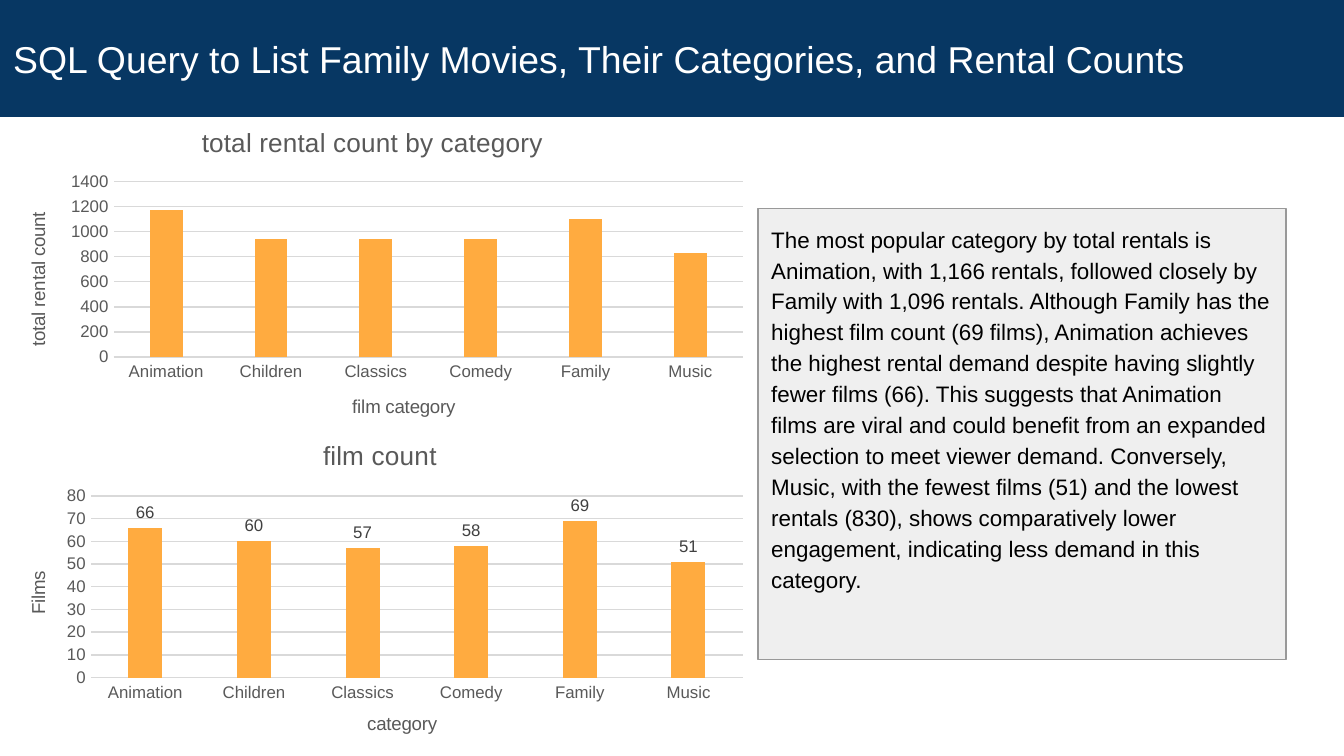
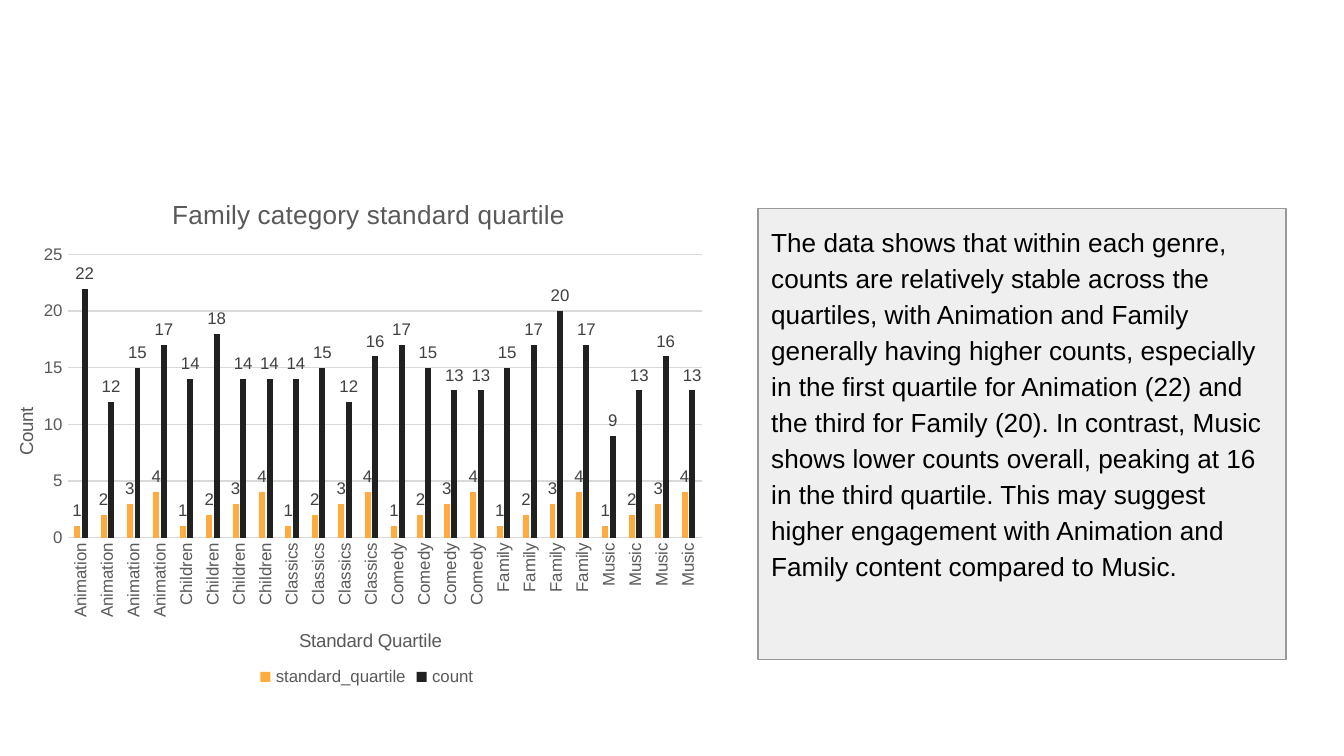
from dataclasses import dataclass

from lxml.etree import SubElement
from pptx import Presentation
from pptx.chart.data import CategoryChartData
from pptx.dml.color import RGBColor
from pptx.enum.chart import XL_CHART_TYPE, XL_LABEL_POSITION, XL_LEGEND_POSITION, XL_TICK_MARK
from pptx.enum.shapes import MSO_SHAPE
from pptx.enum.text import MSO_ANCHOR, PP_ALIGN
from pptx.oxml.ns import qn
from pptx.util import Inches, Pt

FONT = "Arial"
NAVY = RGBColor(0x07, 0x37, 0x63)
WHITE = RGBColor(0xFF, 0xFF, 0xFF)
BLACK = RGBColor(0, 0, 0)
PANEL = RGBColor(0xEF, 0xEF, 0xEF)
PANEL_LINE = RGBColor(0x99, 0x99, 0x99)
GRID = RGBColor(0xD9, 0xD9, 0xD9)
GREY = RGBColor(0x59, 0x59, 0x59)
LABEL = RGBColor(0x40, 0x40, 0x40)
ORANGE = RGBColor(0xFF, 0xAB, 0x40)
CHARCOAL = RGBColor(0x21, 0x21, 0x21)

GENRES = ["Animation", "Children", "Classics", "Comedy", "Family", "Music"]


@dataclass
class Caption:
    text: str
    x: float
    y: float


@dataclass
class Series:
    name: str
    values: list[int]
    color: RGBColor = ORANGE


@dataclass
class ColumnChart:
    box: tuple[float, float, float, float]
    plot: tuple[float, float, float, float]
    title: Caption
    x_title: Caption
    y_title: Caption
    categories: list[str]
    series: list[Series]
    top: int
    step: int
    labels: bool = True
    legend: bool = False
    upright_names: bool = False


RENTALS = ColumnChart(
    (0, 0.8, 5.64, 2.51), (0.15, 0.22, 0.83, 0.52),
    Caption("total rental count by category", 0.26, 0.04),
    Caption("film category", 0.46, 0.84),
    Caption("total rental count", 0.03, 0.3),
    GENRES, [Series("Series 1", [1170, 940, 940, 940, 1100, 830])],
    1400, 200, labels=False)

FILMS = ColumnChart(
    (0, 3.13, 5.64, 2.55), (0.12, 0.22, 0.86, 0.53),
    Caption("film count", 0.42, 0.04),
    Caption("category", 0.48, 0.84),
    Caption("Films", 0.03, 0.43),
    GENRES, [Series("film count", [66, 60, 57, 58, 69, 51])],
    80, 10)

QUARTILES = ColumnChart(
    (0.08, 1.32, 5.3, 3.83), (0.08, 0.15, 0.89, 0.55),
    Caption("Family category standard quartile", 0.22, 0.03),
    Caption("Standard Quartile", 0.4, 0.87),
    Caption("Count", 0, 0.44),
    [genre for genre in GENRES for _ in range(4)],
    [Series("standard_quartile", [1, 2, 3, 4] * len(GENRES)),
     Series("count", [22, 12, 15, 17, 14, 18, 14, 14, 14, 15, 12, 16,
                      17, 15, 13, 13, 15, 17, 20, 17, 9, 13, 16, 13], CHARCOAL)],
    25, 5, legend=True, upright_names=True)

HEADLINE = "SQL Query to List Family Movies, Their Categories, and Rental Counts"
RENTAL_NOTE = (
    "The most popular category by total rentals is Animation, with 1,166 rentals, "
    "followed closely by Family with 1,096 rentals. Although Family has the highest "
    "film count (69 films), Animation achieves the highest rental demand despite "
    "having slightly fewer films (66). This suggests that Animation films are viral "
    "and could benefit from an expanded selection to meet viewer demand. Conversely, "
    "Music, with the fewest films (51) and the lowest rentals (830), shows "
    "comparatively lower engagement, indicating less demand in this category.")
QUARTILE_NOTE = (
    "The data shows that within each genre, counts are relatively stable across the "
    "quartiles, with Animation and Family generally having higher counts, especially "
    "in the first quartile for Animation (22) and the third for Family (20). In "
    "contrast, Music shows lower counts overall, peaking at 16 in the third quartile. "
    "This may suggest higher engagement with Animation and Family content compared "
    "to Music.")


def style_font(font, size: float, color: RGBColor) -> None:
    font.name = FONT
    font.size = Pt(size)
    font.bold = False
    font.color.rgb = color


def add_box(s, box: tuple, fill: RGBColor, text: str, size: float, color: RGBColor):
    sp = s.shapes.add_shape(MSO_SHAPE.RECTANGLE, *map(Inches, box))
    sp.shadow.inherit = False
    sp.fill.solid()
    sp.fill.fore_color.rgb = fill
    sp.line.fill.background()
    tf = sp.text_frame
    tf.word_wrap = True
    tf.margin_left = tf.margin_right = tf.margin_top = tf.margin_bottom = Inches(0.1)
    p = tf.paragraphs[0]
    p.text = text
    p.alignment = PP_ALIGN.LEFT
    style_font(p.runs[0].font, size, color)
    return sp


def add_title(s, text: str) -> None:
    sp = add_box(s, (0, 0, 10, 0.87), NAVY, text, 20, WHITE)
    sp.text_frame.vertical_anchor = MSO_ANCHOR.MIDDLE


def add_note(s, text: str, size: float) -> None:
    sp = add_box(s, (5.64, 1.55, 3.93, 3.36), PANEL, text, size, BLACK)
    sp.line.color.rgb = PANEL_LINE
    sp.line.width = Pt(0.75)
    sp.text_frame.vertical_anchor = MSO_ANCHOR.TOP
    p = sp.text_frame.paragraphs[0]
    p.line_spacing = 1.15
    p.space_after = Pt(16)


def set_layout(parent, index: int, **values) -> None:
    layout = parent.find(qn("c:layout"))
    if layout is not None:
        parent.remove(layout)
    layout = parent.makeelement(qn("c:layout"))
    parent.insert(index, layout)
    manual = SubElement(layout, qn("c:manualLayout"))
    for name, value in values.items():
        SubElement(manual, qn(f"c:{name}")).set("val", str(value))


def set_caption(owner, caption: Caption, size: float, rotation: int = 0) -> None:
    owner.has_title = True
    title = owner.chart_title if hasattr(owner, "chart_title") else owner.axis_title
    tf = title.text_frame
    tf.text = caption.text
    style_font(tf.paragraphs[0].runs[0].font, size, GREY)
    tf._txBody.bodyPr.set("rot", str(rotation))
    set_layout(title._element, 1, xMode="edge", yMode="edge", x=caption.x, y=caption.y)


def style_axis(axis, caption: Caption, rotation: int = 0) -> None:
    axis.major_tick_mark = axis.minor_tick_mark = XL_TICK_MARK.NONE
    style_font(axis.tick_labels.font, 9, GREY)
    set_caption(axis, caption, 10, rotation)


def add_column_chart(s, spec: ColumnChart) -> None:
    data = CategoryChartData()
    data.categories = spec.categories
    for series in spec.series:
        data.add_series(series.name, series.values)
    chart = s.shapes.add_chart(
        XL_CHART_TYPE.COLUMN_CLUSTERED, *map(Inches, spec.box), data).chart
    style_font(chart.font, 10, BLACK)
    set_caption(chart, spec.title, 14)

    names, scale = chart.category_axis, chart.value_axis
    style_axis(names, spec.x_title)
    names.format.line.color.rgb = GRID
    names.format.line.width = Pt(0.75)
    if spec.upright_names:
        names._element.find(qn("c:txPr")).find(qn("a:bodyPr")).set("rot", "-5400000")
    style_axis(scale, spec.y_title, -5400000)
    scale.minimum_scale, scale.maximum_scale = 0, spec.top
    scale.major_unit = spec.step
    scale.format.line.fill.background()
    scale.major_gridlines.format.line.color.rgb = GRID
    scale.major_gridlines.format.line.width = Pt(0.75)

    plot = chart.plots[0]
    plot.vary_by_categories = False
    plot.gap_width, plot.overlap = 219, -27
    for series, bars in zip(spec.series, plot.series):
        bars.format.fill.solid()
        bars.format.fill.fore_color.rgb = series.color
        if spec.labels:
            labels = bars.data_labels
            labels.show_value = True
            labels.position = XL_LABEL_POSITION.OUTSIDE_END
            style_font(labels.font, 9, LABEL)

    chart.has_legend = spec.legend
    if spec.legend:
        chart.legend.position = XL_LEGEND_POSITION.BOTTOM
        chart.legend.include_in_layout = False
        style_font(chart.legend.font, 9, GREY)

    x, y, w, h = spec.plot
    set_layout(chart._chartSpace.chart.plotArea, 0, layoutTarget="inner",
               xMode="edge", yMode="edge", x=x, y=y, w=w, h=h)


def main() -> None:
    prs = Presentation()
    prs.slide_width = Inches(10)
    prs.slide_height = Inches(10) * 9 // 16
    blank = prs.slide_layouts[6]

    s = prs.slides.add_slide(blank)
    add_note(s, RENTAL_NOTE, 12)
    add_title(s, HEADLINE)
    add_column_chart(s, RENTALS)
    add_column_chart(s, FILMS)

    s = prs.slides.add_slide(blank)
    add_note(s, QUARTILE_NOTE, 14)
    add_column_chart(s, QUARTILES)

    prs.save("out.pptx")


if __name__ == "__main__":
    main()
